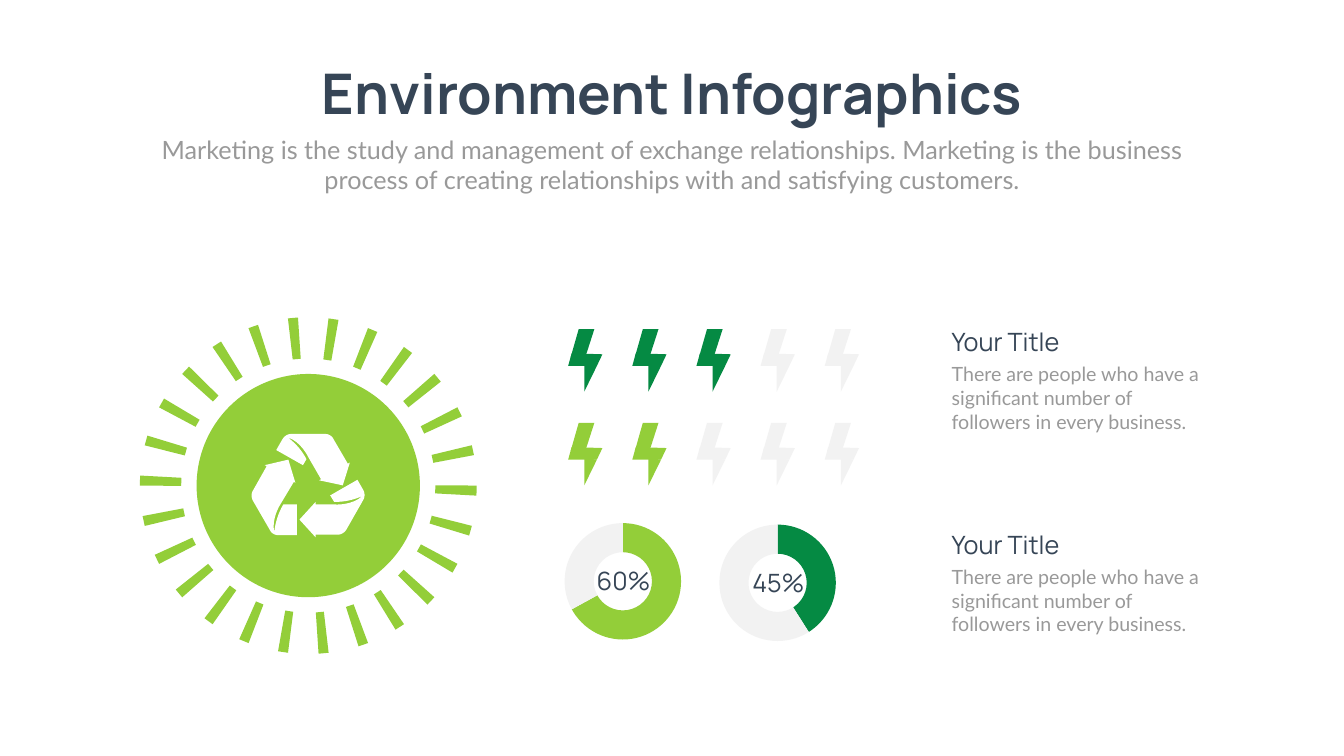
"""Build the Environment Infographics slide: a sun, energy ratings, doughnuts and notes."""
import math

import lxml.etree
import pptx
import pptx.chart.data
import pptx.dml.color
import pptx.enum.chart
import pptx.enum.shapes
import pptx.enum.text
import pptx.util

Inches = pptx.util.Inches
ALIGN = pptx.enum.text.PP_ALIGN

COLORS = {
    "navy": "364556",
    "grey": "999999",
    "pale": "F2F2F2",
    "lime": "93CE39",
    "green": "058A43",
    "white": "FFFFFF",
}

SUN_CENTER = (6.115, 9.635)
DISC_RADIUS = 2.215
RAY_COUNT = 26
RAY_START = 1.7
RAY_ENDS = ((2.52, 0.08), (3.34, 0.1))

BOLT_PARTS = [
    [(0.34, 0.56), (0.05, 0.56), (0.21, 0), (0.52, 0)],
    [(0.33, 1.22), (0.32, 1.24), (0.32, 0.7), (0.57, 0.73)],
    [(0.57, 0.73), (0, 0.73), (0.07, 0.48), (0.68, 0.5)],
]
FIRST_BOLT, LAST_BOLT = 11.27, 16.36
BOLTS_PER_ROW = 5

RECYCLE_ARROWS = [
    [(7.21, 9.73), (7.09, 9.52), (6.55, 9.83), (6.63, 9.96),
     (6.83, 9.96, 7.02, 9.92, 7.19, 9.84), (6.99, 10.03, 6.66, 10.01, 6.66, 10.01),
     (6.26, 10.01), (6.26, 9.96), (5.94, 10.31), (6.26, 10.66), (6.26, 10.61),
     (6.69, 10.61), (6.77, 10.61, 6.83, 10.57, 6.87, 10.51), (7.2, 9.93),
     (7.24, 9.87, 7.24, 9.79, 7.21, 9.73)],
    [(6.08, 9.11), (5.99, 8.94, 5.86, 8.79, 5.71, 8.68),
     (5.97, 8.76, 6.11, 9.06, 6.11, 9.06), (6.37, 9.51), (6.33, 9.53), (6.8, 9.63),
     (6.94, 9.18), (6.9, 9.2), (6.62, 8.72), (6.59, 8.65, 6.52, 8.61, 6.45, 8.61),
     (5.78, 8.61), (5.71, 8.61, 5.64, 8.65, 5.6, 8.72), (5.48, 8.93), (6.01, 9.23)],
    [(5.62, 10.01), (5.52, 10.18, 5.46, 10.37, 5.44, 10.56),
     (5.38, 10.29, 5.56, 10.01, 5.56, 10.01), (5.83, 9.56), (5.86, 9.58), (5.72, 9.12),
     (5.25, 9.23), (5.29, 9.25), (5.02, 9.73), (4.98, 9.79, 4.98, 9.87, 5.02, 9.94),
     (5.35, 10.51), (5.38, 10.58, 5.45, 10.62, 5.53, 10.62), (5.89, 10.62), (5.89, 10.01)],
]


def rgb(color):
    """Return the named colour as an RGBColor."""
    return pptx.dml.color.RGBColor.from_string(COLORS[color])


def paint(shape, color):
    """Give a shape a flat fill without outline or shadow."""
    shape.shadow.inherit = False
    shape.fill.solid()
    shape.fill.fore_color.rgb = rgb(color)
    shape.line.fill.background()


def flatten(steps, pieces=8):
    """Turn points and cubic curve steps into a list of points."""
    points = [steps[0]]
    for step in steps[1:]:
        if len(step) == 2:
            points.append(step)
            continue
        controls = [points[-1], step[:2], step[2:4], step[4:]]
        for piece in range(1, pieces + 1):
            t = piece / pieces
            weights = [math.comb(3, i) * t ** i * (1 - t) ** (3 - i) for i in range(4)]
            points.append(tuple(sum(w * c[axis] for w, c in zip(weights, controls))
                                for axis in (0, 1)))
    return points


def add_outline(parent, contours, color):
    """Draw closed contours, given in inches, as one filled freeform."""
    scaled = [[(Inches(x), Inches(y)) for x, y in contour] for contour in contours]
    builder = parent.shapes.build_freeform(*scaled[0][0], scale=1.0)
    for index, contour in enumerate(scaled):
        if index:
            builder.move_to(*contour[0])
        builder.add_line_segments(contour[1:], close=True)
    paint(builder.convert_to_shape(), color)


def add_text(parent, text, box, size, font, color, align=ALIGN.LEFT, bold=False, wrap=True):
    """Add a one-paragraph text box."""
    frame = parent.shapes.add_textbox(*map(Inches, box)).text_frame
    frame.word_wrap = wrap
    frame.auto_size = pptx.enum.text.MSO_AUTO_SIZE.SHAPE_TO_FIT_TEXT
    frame.text = text
    paragraph = frame.paragraphs[0]
    paragraph.alignment = align
    style = paragraph.runs[0].font
    style.size = pptx.util.Pt(size)
    style.name = font
    style.bold = bold
    style.color.rgb = rgb(color)


def add_sun(slide):
    """Draw the disc, its ring of tapered rays and the recycling arrows."""
    center_x, center_y = SUN_CENTER
    disc = slide.shapes.add_shape(
        pptx.enum.shapes.MSO_SHAPE.OVAL, Inches(center_x - DISC_RADIUS),
        Inches(center_y - DISC_RADIUS), Inches(2 * DISC_RADIUS), Inches(2 * DISC_RADIUS))
    paint(disc, "lime")
    (inner, inner_half), (outer, outer_half) = RAY_ENDS
    corners = [(inner, -inner_half), (outer, -outer_half),
               (outer, outer_half), (inner, inner_half)]
    rays = []
    for index in range(RAY_COUNT):
        angle = math.radians(RAY_START + index * 360 / RAY_COUNT)
        cos, sin = math.cos(angle), math.sin(angle)
        rays.append([(center_x + along * cos - across * sin,
                      center_y + along * sin + across * cos) for along, across in corners])
    add_outline(slide, rays, "lime")
    for arrow in RECYCLE_ARROWS:
        add_outline(slide, [flatten(arrow)], "white")


def add_bolt_row(slide, top, lit, color):
    """Draw a row of grouped bolts of which the first ones are lit."""
    pitch = (LAST_BOLT - FIRST_BOLT) / (BOLTS_PER_ROW - 1)
    for index in range(BOLTS_PER_ROW):
        left = FIRST_BOLT + index * pitch
        bolt = slide.shapes.add_group_shape()
        for part in BOLT_PARTS:
            contour = [(left + x, top + y) for x, y in part]
            add_outline(bolt, [contour], color if index < lit else "pale")


def add_doughnut(slide, left, top, values, color, label):
    """Add a two-part doughnut chart with a label in its hole."""
    shares = pptx.chart.data.CategoryChartData()
    shares.categories = ["1", "2"]
    shares.add_series("Series 1", values)
    chart = slide.shapes.add_chart(
        pptx.enum.chart.XL_CHART_TYPE.DOUGHNUT, Inches(left), Inches(top),
        Inches(2.75), Inches(2.57), shares).chart
    chart.has_legend = False
    chart.has_title = False
    chart.font.size = pptx.util.Pt(10)
    chart.font.name = "Calibri"
    chart.font.color.rgb = rgb("grey")
    ring = chart.plots[0]
    ring.vary_by_categories = True
    for index, part_color in enumerate((color, "pale")):
        part = ring.series[0].points[index].format
        part.fill.solid()
        part.fill.fore_color.rgb = rgb(part_color)
        part.line.fill.background()

    namespace = "{http://schemas.openxmlformats.org/drawingml/2006/chart}"
    chart_xml = chart.element
    chart_xml.find(f".//{namespace}holeSize").set("val", "75")
    plot_area = chart_xml.find(f".//{namespace}plotArea")
    layout = plot_area.find(f"{namespace}layout")
    if layout is None:
        layout = lxml.etree.Element(f"{namespace}layout")
        plot_area.insert(0, layout)
    manual = lxml.etree.SubElement(layout, f"{namespace}manualLayout")
    for tag, setting in (("layoutTarget", "inner"), ("xMode", "edge"), ("yMode", "edge"),
                         ("x", "0.08"), ("y", "0.05"), ("w", "0.84"), ("h", "0.9")):
        lxml.etree.SubElement(manual, namespace + tag).set("val", setting)

    add_text(slide, label, (left + 0.62, top + 0.92, 1.54, 0.71), 36, "Manrope", "navy",
             ALIGN.CENTER)


def add_note(slide, top):
    """Add a grouped description with a small heading above."""
    note = slide.shapes.add_group_shape()
    add_text(note, "There are people who have a significant number of followers "
             "in every business.", (18.78, top + 0.71, 5.11, 1.51), 28, "Lato", "grey")
    add_text(note, "Your Title", (18.78, top, 3.74, 0.71), 36, "Manrope", "navy")


def main():
    """Compose and save the slide."""
    deck = pptx.Presentation()
    deck.slide_width, deck.slide_height = Inches(26.66), Inches(15)
    slide = deck.slides.add_slide(deck.slide_layouts[6])
    add_text(slide, "Environment Infographics", (5.7, 1.12, 15.27, 1.45), 80, "Manrope",
             "navy", ALIGN.CENTER, bold=True, wrap=False)
    add_text(slide, "Marketing is the study and management of exchange relationships. "
             "Marketing is the business process of creating relationships with and "
             "satisfying customers.", (2.92, 2.61, 20.82, 1.31), 36, "Lato", "grey",
             ALIGN.CENTER)
    add_sun(slide)
    add_doughnut(slide, 10.98, 10.25, (67, 33), "lime", "60%")
    add_doughnut(slide, 14.05, 10.28, (41, 59), "green", "45%")
    add_bolt_row(slide, 6.53, 3, "green")
    add_bolt_row(slide, 8.39, 2, "lime")
    for top in (6.43, 10.45):
        add_note(slide, top)
    deck.save("out.pptx")


if __name__ == "__main__":
    main()
